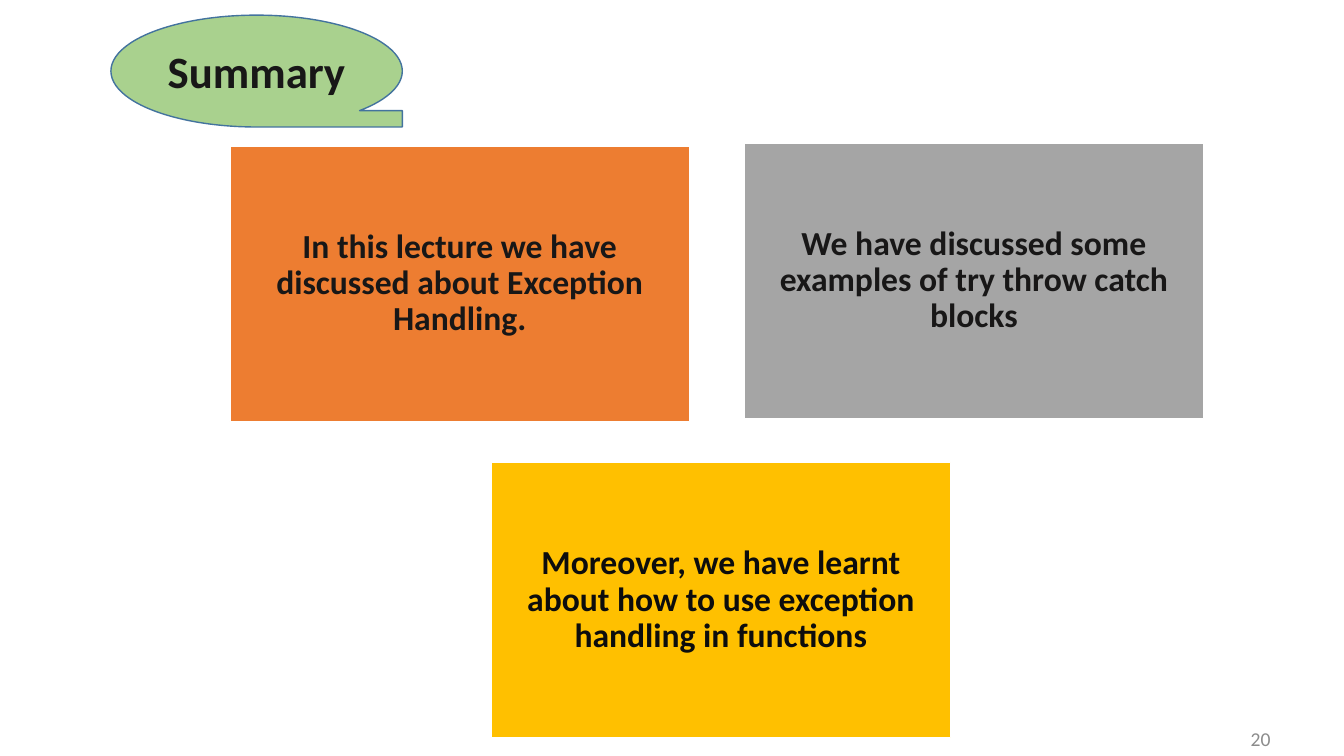
"""Build the summary slide with three takeaway cards."""
from dataclasses import dataclass

import pptx
import pptx.dml.color
import pptx.enum.shapes
import pptx.enum.text
import pptx.util
from pptx.util import Inches

Kind = pptx.enum.shapes.MSO_SHAPE
Align = pptx.enum.text.PP_ALIGN


@dataclass(frozen=True)
class Theme:
    font: str = "Calibri"
    ink: str = "181717"
    dark: str = "0D0D0D"
    mute: str = "8C8C8C"
    white: str = "FFFFFF"
    green: str = "A9D18E"
    blue: str = "43739E"
    orange: str = "ED7D31"
    gray: str = "A5A5A5"
    gold: str = "FFC000"
    title: int = 32
    body: int = 24
    small: int = 14


@dataclass(frozen=True)
class Card:
    left: float
    top: float
    fill: str
    ink: str
    text: str


THEME = Theme()
WIDTH, HEIGHT = 4.56, 2.73
CARDS = [
    Card(2.28, 1.45, THEME.orange, THEME.ink,
         "In this lecture we have discussed about Exception Handling."),
    Card(7.38, 1.42, THEME.gray, THEME.ink,
         "We have discussed some examples of try throw catch blocks"),
    Card(4.87, 4.59, THEME.gold, THEME.dark,
         "Moreover, we have learnt about how to use exception handling in functions"),
]


def color(code: str) -> pptx.dml.color.RGBColor:
    return pptx.dml.color.RGBColor.from_string(code)


def write(shape, text: str, size: int, ink: str, bold: bool = True,
          align=Align.CENTER):
    frame = shape.text_frame
    frame.text = text
    frame.word_wrap = True
    frame.vertical_anchor = pptx.enum.text.MSO_ANCHOR.MIDDLE
    line = frame.paragraphs[0]
    line.alignment = align
    font = line.runs[0].font
    font.name = THEME.font
    font.size = pptx.util.Pt(size)
    font.bold = bold
    font.color.rgb = color(ink)
    return frame


def block(slide, kind, left: float, top: float, width: float, height: float,
          fill: str, edge: str):
    shape = slide.shapes.add_shape(
        kind, Inches(left), Inches(top), Inches(width), Inches(height))
    shape.shadow.inherit = False
    shape.fill.solid()
    shape.fill.fore_color.rgb = color(fill)
    shape.line.color.rgb = color(edge)
    shape.line.width = pptx.util.Pt(1)
    return shape


def draw(slide, card: Card) -> None:
    shape = block(slide, Kind.RECTANGLE, card.left, card.top, WIDTH, HEIGHT,
                  card.fill, THEME.white)
    frame = write(shape, card.text, THEME.body, card.ink)
    frame.margin_left = frame.margin_right = Inches(0.1)
    frame.margin_top = frame.margin_bottom = Inches(0.1)
    frame.paragraphs[0].line_spacing = 0.9


def main() -> None:
    deck = pptx.Presentation()
    deck.slide_width, deck.slide_height = Inches(13.33), Inches(7.5)
    slide = deck.slides.add_slide(deck.slide_layouts[6])
    page = slide.shapes.add_textbox(
        Inches(10.46), Inches(7.3), Inches(2.24), Inches(0.05))
    write(page, "20", THEME.small, THEME.mute, False, Align.RIGHT)
    title = block(slide, Kind.FLOWCHART_SEQUENTIAL_ACCESS_STORAGE,
                  1.1, 0.15, 2.89, 1.11, THEME.green, THEME.blue)
    write(title, "Summary", THEME.title, THEME.ink)
    for card in CARDS:
        draw(slide, card)
    deck.save("out.pptx")


if __name__ == "__main__":
    main()
